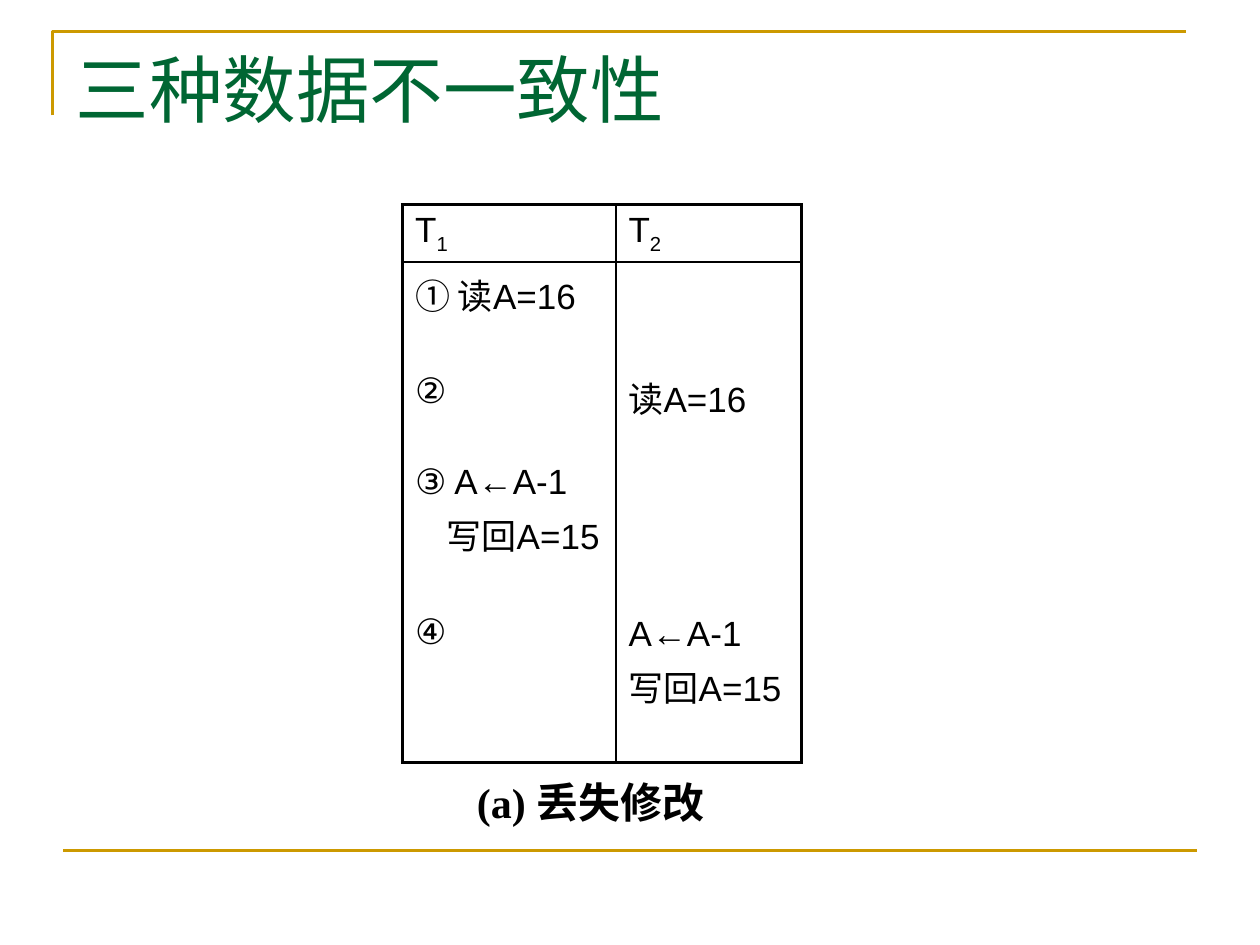
from dataclasses import dataclass

import pptx
import pptx.dml.color
import pptx.enum.shapes
import pptx.enum.text
import pptx.oxml
import pptx.oxml.ns
import pptx.util

Pt = pptx.util.Pt
ALIGN = pptx.enum.text.PP_ALIGN
ANCHOR = pptx.enum.text.MSO_ANCHOR

COLORS = {"text": "000000", "title": "006633", "rule": "CC9900"}
THICK, THIN = 2.25, 1
MARGIN_X, MARGIN_Y = 7.2, 3.6
LINE_GAP = 4  # between consecutive steps
STEP_GAP = 30  # one line left empty between steps
WAIT_GAP = 110  # four lines left empty while the other side works


@dataclass
class Step:
    text: str
    space_before: float = 0
    indent: float = 0
    subscript: str = ""


@dataclass
class Cell:
    steps: list[Step]
    margin_top: float = MARGIN_Y


ROWS = [
    [Cell([Step("T", subscript="1")]), Cell([Step("T", subscript="2")])],
    [
        Cell([
            Step("① 读A=16"),
            Step("②", STEP_GAP),
            Step("③ A←A-1", STEP_GAP),
            Step("写回A=15", LINE_GAP, indent=18),
            Step("④", STEP_GAP),
        ]),
        Cell([
            Step("读A=16"),
            Step("A←A-1", WAIT_GAP),
            Step("写回A=15", LINE_GAP),
        ], margin_top=62.5),
    ],
]
COLUMN_WIDTHS = [122, 106]
ROW_HEIGHTS = [32, 286]


def rgb(name: str) -> pptx.dml.color.RGBColor:
    return pptx.dml.color.RGBColor.from_string(COLORS[name])


def add_text(paragraph, text: str, *, size: float = 20, font: str = "Arial",
             color: str = "text", bold: bool = False, baseline: int = 0) -> None:
    run = paragraph.add_run()
    run.text = text
    run.font.size = Pt(size)
    run.font.name = font
    run.font.bold = bold
    run.font.color.rgb = rgb(color)
    if baseline:
        run._r.get_or_add_rPr().set("baseline", str(baseline * 1000))


def set_margins(frame) -> None:
    frame.margin_left = frame.margin_right = Pt(MARGIN_X)
    frame.margin_top = frame.margin_bottom = Pt(MARGIN_Y)


def style_rule(shape) -> None:
    shape.line.color.rgb = rgb("rule")
    shape.line.width = Pt(1.5)


def add_rules(slide) -> None:
    builder = slide.shapes.build_freeform(Pt(30), Pt(66))
    builder.add_line_segments([(Pt(30), Pt(18)), (Pt(678), Pt(18))], close=False)
    corner = builder.convert_to_shape()
    corner.shadow.inherit = False
    corner.fill.background()
    style_rule(corner)

    footer = slide.shapes.add_connector(
        pptx.enum.shapes.MSO_CONNECTOR.STRAIGHT, Pt(36), Pt(486), Pt(684), Pt(486))
    footer._element.spPr.append(pptx.oxml.parse_xml(
        f'<a:effectLst {pptx.oxml.ns.nsdecls("a")}/>'))
    style_rule(footer)


def set_borders(cell, widths: dict[str, float]) -> None:
    properties = cell._tc.get_or_add_tcPr()
    for index, (side, width) in enumerate(widths.items()):
        properties.insert(index, pptx.oxml.parse_xml(
            f'<a:{side} {pptx.oxml.ns.nsdecls("a")} w="{Pt(width)}"><a:solidFill>'
            f'<a:srgbClr val="{COLORS["text"]}"/></a:solidFill></a:{side}>'))


def fill_cell(cell, content: Cell) -> None:
    set_margins(cell)
    cell.margin_top = Pt(content.margin_top)
    cell.vertical_anchor = ANCHOR.TOP
    cell.fill.background()
    frame = cell.text_frame
    for index, step in enumerate(content.steps):
        paragraph = frame.add_paragraph() if index else frame.paragraphs[0]
        if step.space_before:
            paragraph.space_before = Pt(step.space_before)
        if step.indent:
            paragraph._p.get_or_add_pPr().set("indent", str(Pt(step.indent)))
        add_text(paragraph, step.text)
        if step.subscript:
            add_text(paragraph, step.subscript, baseline=-25)


def add_schedule(slide) -> None:
    table = slide.shapes.add_table(
        len(ROWS), len(COLUMN_WIDTHS), Pt(230), Pt(117),
        Pt(sum(COLUMN_WIDTHS)), Pt(sum(ROW_HEIGHTS))).table
    table.first_row = table.horz_banding = False
    for column, width in zip(table.columns, COLUMN_WIDTHS):
        column.width = Pt(width)
    for row, height in zip(table.rows, ROW_HEIGHTS):
        row.height = Pt(height)
    last_row, last_column = len(ROWS) - 1, len(COLUMN_WIDTHS) - 1
    for r, contents in enumerate(ROWS):
        for c, content in enumerate(contents):
            cell = table.cell(r, c)
            fill_cell(cell, content)
            set_borders(cell, {
                "lnL": THICK if c == 0 else THIN,
                "lnR": THICK if c == last_column else THIN,
                "lnT": THICK if r == 0 else THIN,
                "lnB": THICK if r == last_row else THIN,
            })


def add_title(slide) -> None:
    title = slide.shapes.title
    title.left, title.top, title.width, title.height = Pt(36), Pt(21.6), Pt(648), Pt(90)
    frame = title.text_frame
    set_margins(frame)
    frame.auto_size = pptx.enum.text.MSO_AUTO_SIZE.NONE
    frame.vertical_anchor = ANCHOR.TOP
    paragraph = frame.paragraphs[0]
    paragraph.alignment = ALIGN.LEFT
    add_text(paragraph, "三种数据不一致性", size=42, font="Times New Roman", color="title")


def add_caption(slide) -> None:
    frame = slide.shapes.add_textbox(Pt(235.5), Pt(434), Pt(204), Pt(48)).text_frame
    set_margins(frame)
    frame.word_wrap = False
    frame.vertical_anchor = ANCHOR.MIDDLE
    paragraph = frame.paragraphs[0]
    paragraph.alignment = ALIGN.CENTER
    add_text(paragraph, "(a) 丢失修改", size=24, font="Times New Roman", bold=True)


def main() -> None:
    presentation = pptx.Presentation()
    presentation.slide_width, presentation.slide_height = Pt(720), Pt(540)
    slide = presentation.slides.add_slide(presentation.slide_layouts[5])  # title only
    add_rules(slide)
    add_title(slide)
    add_schedule(slide)
    add_caption(slide)
    presentation.save("out.pptx")


if __name__ == "__main__":
    main()
